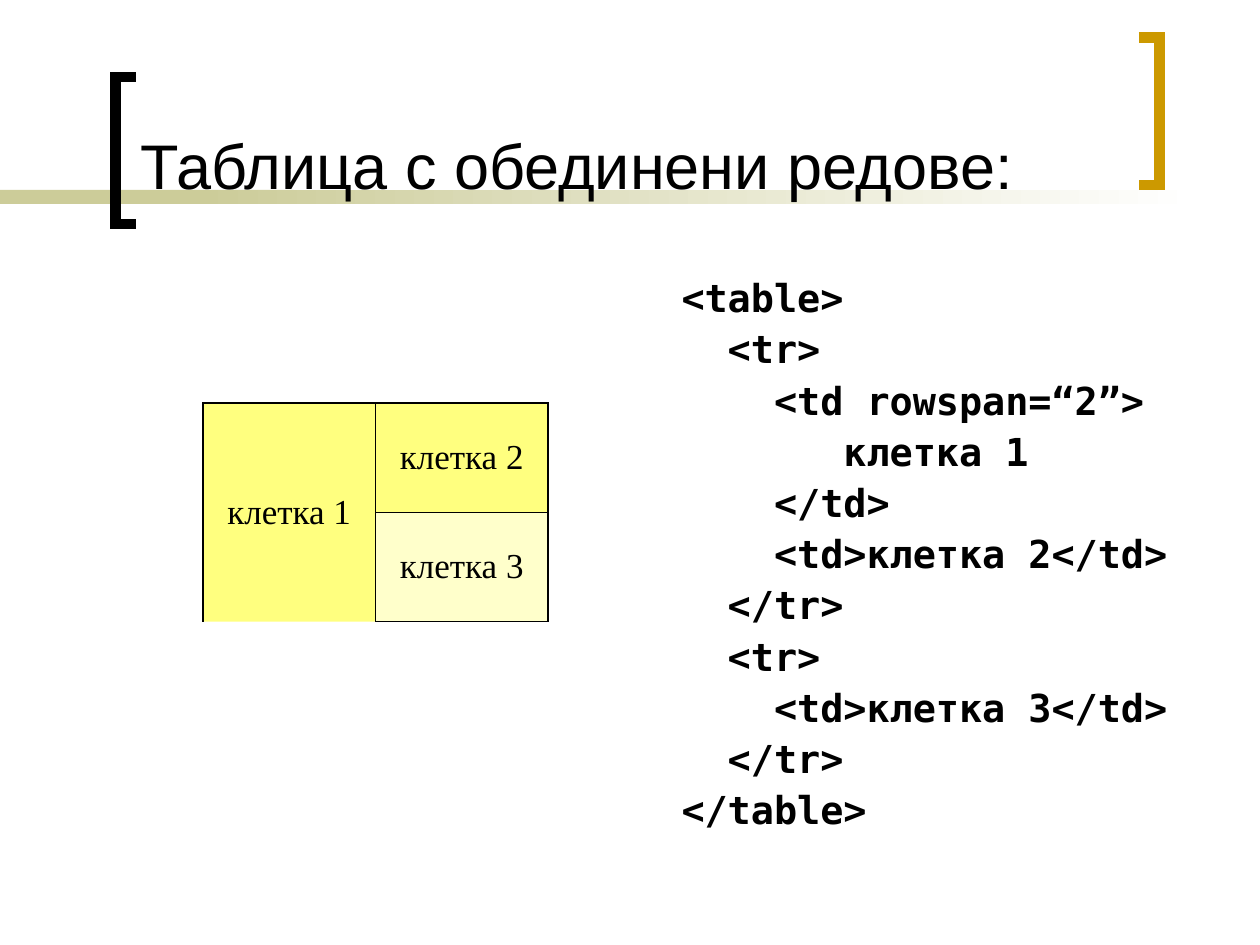
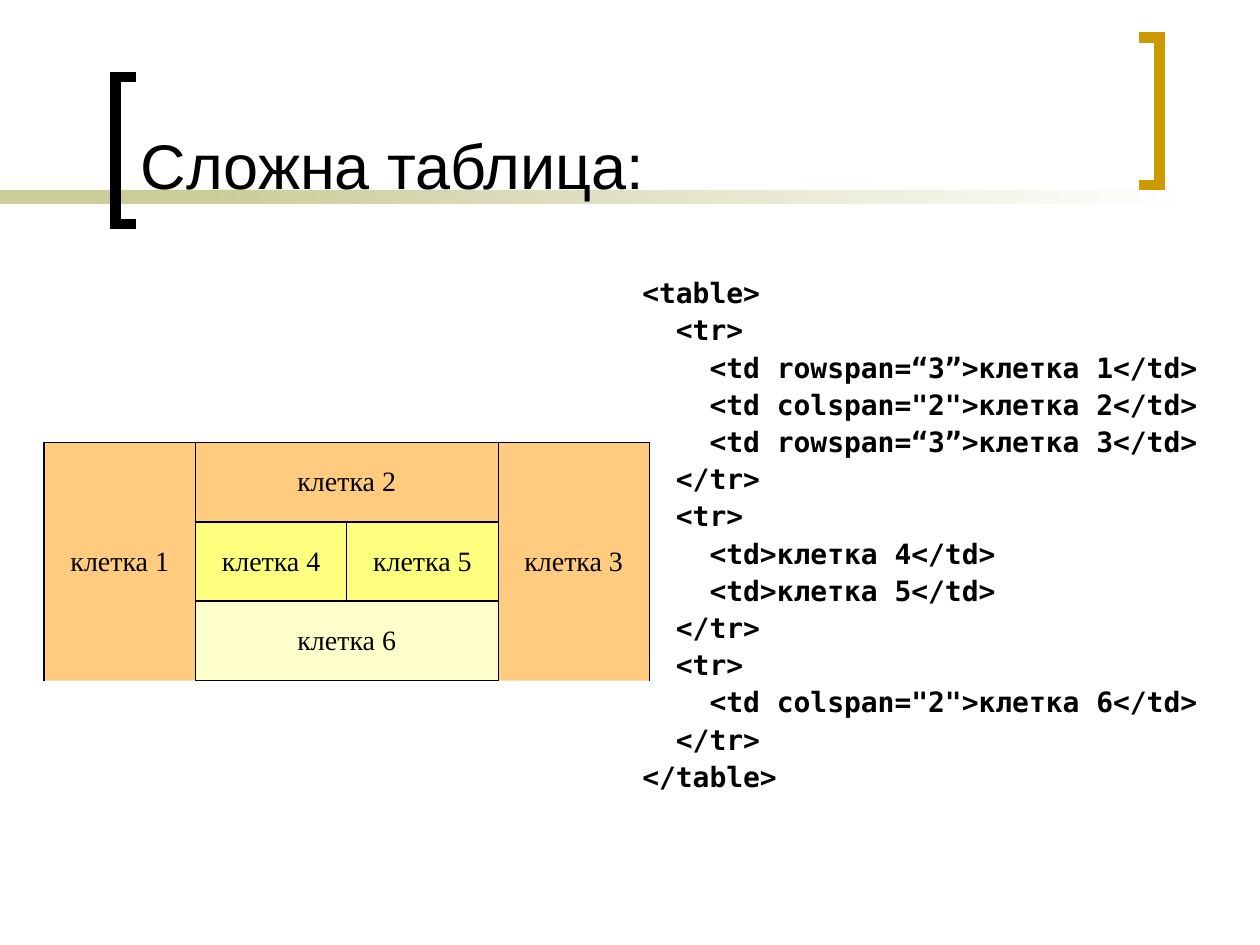
from lxml import etree
from pptx import Presentation
from pptx.dml.color import RGBColor
from pptx.enum.shapes import MSO_SHAPE
from pptx.enum.text import MSO_ANCHOR, PP_ALIGN
from pptx.oxml.ns import qn
from pptx.util import Cm, Pt

RECT = MSO_SHAPE.RECTANGLE
TOP, MIDDLE, BOTTOM = MSO_ANCHOR.TOP, MSO_ANCHOR.MIDDLE, MSO_ANCHOR.BOTTOM
CENTER = PP_ALIGN.CENTER

BLACK, WHITE, SAND, GOLD = "000000", "FFFFFF", "CCCC99", "CC9900"
ORANGE, YELLOW, CREAM = "FF9900", "FFFF00", "FFFF99"
SANS, MONO, SERIF = "Arial", "DejaVu Sans Mono", "Times New Roman"
THICK, THIN = 1.08, 0.45

ROW_CODE = """\
<table>
  <tr>
    <td rowspan=“2”>
       клетка 1
    </td>
    <td>клетка 2</td>
  </tr>
  <tr>
    <td>клетка 3</td>
  </tr>
</table>"""

MIXED_CODE = """\
<table>
  <tr>
    <td rowspan=“3”>клетка 1</td>
    <td colspan="2">клетка 2</td>
    <td rowspan=“3”>клетка 3</td>
  </tr>
  <tr>
    <td>клетка 4</td>
    <td>клетка 5</td>
  </tr>
  <tr>
    <td colspan="2">клетка 6</td>
  </tr>
</table>"""

# Each cell: row, column, rows spanned, columns spanned, fill
ROW_CELLS = [(0, 0, 2, 1, YELLOW), (0, 1, 1, 1, YELLOW), (1, 1, 1, 1, CREAM)]
MIXED_CELLS = [
    (0, 0, 3, 1, ORANGE), (0, 1, 1, 2, ORANGE), (0, 3, 3, 1, ORANGE),
    (1, 1, 1, 1, YELLOW), (1, 2, 1, 1, YELLOW), (2, 1, 1, 2, CREAM),
]


def color(code):
    return RGBColor.from_string(code)


def border(props, side, weight):
    """Set one cell edge; a weight of None hides it."""
    line = etree.SubElement(props, qn(f"a:ln{side}"))
    if weight is None:
        etree.SubElement(line, qn("a:noFill"))
        return
    line.set("w", str(Pt(weight)))
    fill = etree.SubElement(line, qn("a:solidFill"))
    etree.SubElement(fill, qn("a:srgbClr"), val=BLACK)


class Deck:
    """Holds the shared style and the slide being filled."""

    def __init__(self):
        self.file = Presentation()
        self.file.slide_width, self.file.slide_height = Cm(25.4), Cm(19.05)
        self.slide = None

    def start(self, title):
        self.slide = self.file.slides.add_slide(self.file.slide_layouts[6])
        self.band(0, 5.92).solid()
        self.slide.shapes[-1].fill.fore_color.rgb = color(SAND)
        fade = self.band(4.01, 20.12)
        fade.gradient()
        fade.gradient_angle = 0
        for stop, code in zip(fade.gradient_stops, (SAND, WHITE)):
            stop.color.rgb = color(code)
        self.bracket(2.74, 2.33, 1.55, BLACK)
        self.bracket(22.96, 23.37, 0.76, GOLD)
        self.text((2.59, 0.28, 19.89, 3.91), [title], SANS, 36, anchor=BOTTOM)

    def band(self, left, width):
        """Add a strip of the title rule and return its fill."""
        strip = self.slide.shapes.add_shape(
            RECT, Cm(left), Cm(3.83), Cm(width), Cm(0.28))
        strip.shadow.inherit = False
        strip.line.fill.background()
        return strip.fill

    def bracket(self, tip, spine, top, code):
        low = top + 2.97
        path = self.slide.shapes.build_freeform(Cm(tip), Cm(top))
        path.add_line_segments(
            [(Cm(x), Cm(y)) for x, y in ((spine, top), (spine, low), (tip, low))],
            close=False)
        shape = path.convert_to_shape()
        shape.shadow.inherit = False
        shape.fill.background()
        shape.line.color.rgb = color(code)
        shape.line.width = Pt(6)
        etree.SubElement(shape.line._get_or_add_ln(), qn("a:miter"), lim="800000")

    def run(self, para, text, face, size, bold=False):
        run = para.add_run()
        run.text = text
        font = run.font
        font.name, font.size, font.bold = face, Pt(size), bold
        font.color.rgb = color(BLACK)

    def text(self, place, lines, face, size, anchor=TOP, bold=False,
             pitch=1.0, gap=0):
        box = self.slide.shapes.add_textbox(*map(Cm, place))
        frame = box.text_frame
        frame.word_wrap = True
        frame.vertical_anchor = anchor
        for i, line in enumerate(lines):
            para = frame.add_paragraph() if i else frame.paragraphs[0]
            para.line_spacing = pitch
            para.space_before = Pt(gap if i else 0)
            self.run(para, line, face, size, bold)

    def code(self, left, width, source, size):
        self.text((left, 5.51, width, 11.43), source.split("\n"), MONO, size,
                  bold=True, pitch=0.9, gap=size / 4)

    def table(self, left, top, wide, high, cells, size):
        """Draw a grid of equal columns and rows with merged cells."""
        rows = max(r + down for r, c, down, across, fill in cells)
        cols = max(c + across for r, c, down, across, fill in cells)
        grid = self.slide.shapes.add_table(
            rows, cols, Cm(left), Cm(top), Cm(wide * cols), Cm(high * rows)).table
        for col in grid.columns:
            col.width = Cm(wide)
        for row in grid.rows:
            row.height = Cm(high)
        for n, (r, c, down, across, fill) in enumerate(cells, 1):
            first, end, last = grid.cell(r, c), c + across, r + down
            if down * across > 1:
                first.merge(grid.cell(last - 1, end - 1))
            for y in range(r, last):
                for x in range(c, end):
                    cell = grid.cell(y, x)
                    props = cell._tc.get_or_add_tcPr()
                    sides = (
                        ("L", x == c, THIN if x else THICK),
                        ("R", x == end - 1, THIN if end < cols else THICK),
                        ("T", y == r, THICK),
                        ("B", y == last - 1, THICK),
                    )
                    for side, edge, weight in sides:
                        border(props, side, weight if edge else None)
                    self.tint(cell, fill)
            first.vertical_anchor = MIDDLE
            para = first.text_frame.paragraphs[0]
            para.alignment = CENTER
            self.run(para, f"клетка {n}", SERIF, size)

    def tint(self, cell, code):
        """Fill a cell at half opacity."""
        cell.fill.solid()
        cell.fill.fore_color.rgb = color(code)
        tone = cell._tc.tcPr.find(f"{qn('a:solidFill')}/{qn('a:srgbClr')}")
        etree.SubElement(tone, qn("a:alpha"), val="50000")


def main():
    deck = Deck()

    deck.start("Таблица с обединени редове:")
    deck.code(13.49, 11.23, ROW_CODE, 22)
    deck.table(4.09, 8.13, 3.48, 2.2, ROW_CELLS, 20)

    deck.start("Сложна таблица:")
    deck.code(12.7, 12.01, MIXED_CODE, 16)
    deck.table(0.89, 8.92, 3.05, 1.6, MIXED_CELLS, 16)

    deck.file.save("out.pptx")


if __name__ == "__main__":
    main()
